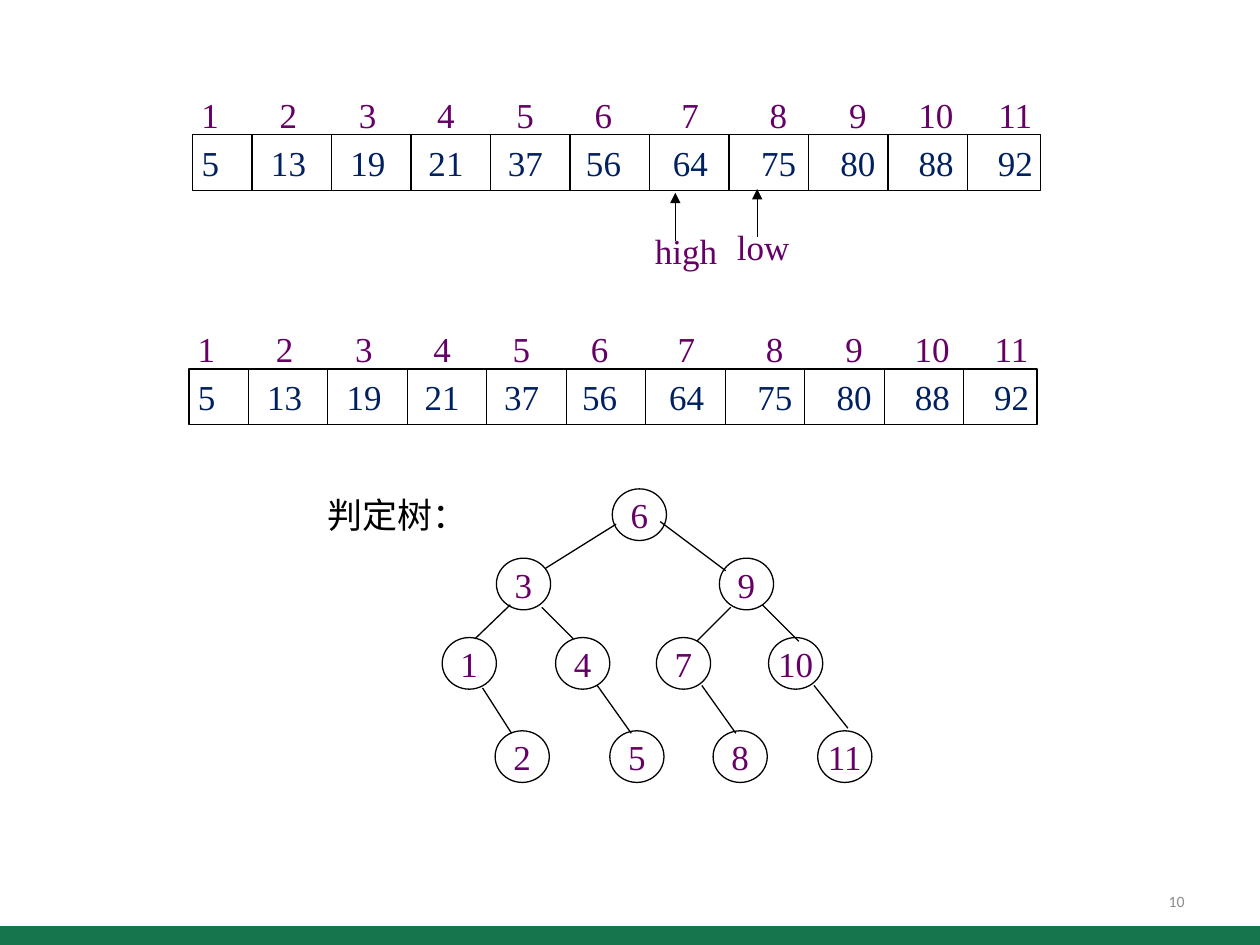
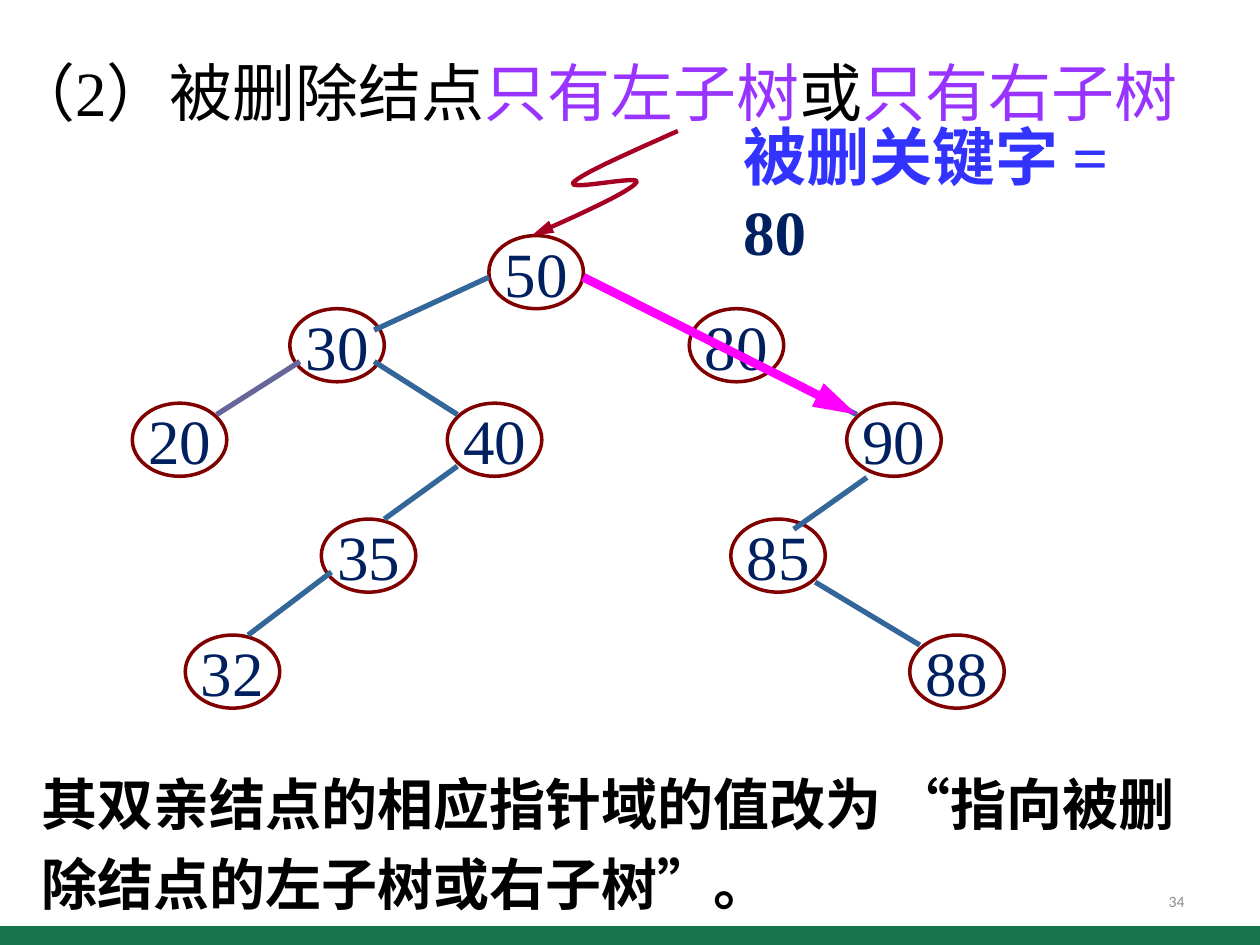
from lxml.etree import SubElement
from pptx import Presentation
from pptx.dml.color import RGBColor
from pptx.enum.shapes import MSO_CONNECTOR, MSO_SHAPE
from pptx.enum.text import MSO_ANCHOR, PP_ALIGN
from pptx.oxml.ns import qn
from pptx.util import Inches, Pt

COLORS = {
    "band": "16754D", "page_number": "8C8C8C", "black": "000000",
    "plum": "660066", "navy": "002060", "maroon": "800000",
    "edge": "336699", "edge_violet": "666699", "new_link": "FF00FF",
    "violet": "9933FF", "blue": "3333FF", "crimson": "A50021",
}
LATIN, CJK, FOOTER_FONT = "Times New Roman", "Noto Sans CJK SC", "Calibri"

KEYS = [5, 13, 19, 21, 37, 56, 64, 75, 80, 88, 92]
NUMBER_CENTERS = [0.69, 1.32, 1.94, 2.57, 3.19, 3.88, 4.58, 5.21, 5.83, 6.46]

# Node offsets and edge ends are measured from the tree's top left corner
DECISION_TREE = {
    "nodes": {"6": (1.35, 0), "3": (0.43, 0.55), "9": (2.2, 0.55),
              "1": (0, 1.18), "4": (0.9, 1.18), "7": (1.7, 1.18), "10": (2.59, 1.18),
              "2": (0.42, 1.92), "5": (1.33, 1.92), "8": (2.15, 1.92), "11": (2.98, 1.92)},
    "edges": [(1.38, 0.28, 0.82, 0.63), (1.73, 0.26, 2.25, 0.65),
              (0.54, 0.92, 0.26, 1.19), (0.79, 0.94, 1.04, 1.19),
              (2.29, 0.94, 2.02, 1.21), (2.54, 0.92, 2.83, 1.21),
              (0.32, 1.58, 0.55, 1.94), (1.23, 1.56, 1.5, 1.94),
              (2.06, 1.56, 2.33, 1.94), (2.95, 1.56, 3.22, 1.9)],
    "node_size": (0.43, 0.41), "font_size": 20, "text_color": "plum",
    "outline": ("black", 0.75), "edge_line": ("black", 0.75),
}
SEARCH_TREE = {
    "nodes": {"50": (2.83, 0), "30": (1.25, 0.58), "80": (4.42, 0.58),
              "20": (0, 1.33), "40": (2.5, 1.33), "90": (5.67, 1.33),
              "35": (1.5, 2.25), "85": (4.75, 2.25),
              "32": (0.42, 3.17), "88": (6.17, 3.17)},
    "edges": [(2.83, 0.33, 1.92, 0.75), (3.58, 0.33, 4.42, 0.75),
              (1.92, 1, 2.58, 1.42), (2.58, 1.83, 2, 2.25),
              (5.08, 1.08, 5.75, 1.42), (5.83, 1.92, 5.25, 2.33),
              (5.42, 2.75, 6.25, 3.25), (1.58, 2.67, 0.92, 3.17)],
    "node_size": (0.75, 0.58), "font_size": 36, "text_color": "navy",
    "outline": ("maroon", 2), "edge_line": ("edge", 3),
}
ROOT_CURVE = [(1.16, 0), (0.78, 0.17), (0.39, 0.34), (0.33, 0.41),
              (0.28, 0.48), (0.89, 0.34), (0.83, 0.41),
              (0.78, 0.48), (0.39, 0.66), (0, 0.83)]


def rgb(color):
    return RGBColor.from_string(COLORS[color])


def write(shape, runs, size, align=PP_ALIGN.LEFT, anchor=MSO_ANCHOR.TOP, wrap=True,
          bold=False, font=LATIN, spacing=None, tabs=()):
    frame = shape.text_frame
    frame.word_wrap = wrap
    frame.vertical_anchor = anchor
    paragraph = frame.paragraphs[0]
    paragraph.alignment = align
    if spacing:
        paragraph.line_spacing = spacing
    if tabs:
        stops = SubElement(shape.element.find(".//" + qn("a:pPr")), qn("a:tabLst"))
        for center in tabs:
            SubElement(stops, qn("a:tab"), pos=str(Inches(center)), algn="ctr")
    for words, color in runs:
        run = paragraph.add_run()
        run.text = words
        run.font.size = Pt(size)
        run.font.bold = bold
        run.font.name = font
        run.font.color.rgb = rgb(color)
    for properties in shape.element.iter(qn("a:rPr")):
        SubElement(properties, qn("a:ea"), typeface=CJK)


def add_text(slide, box, runs, size, **options):
    text = slide.shapes.add_textbox(*map(Inches, box))
    write(text, runs, size, **options)
    return text


def add_preset(slide, preset, box, fill=None, outline=None):
    shape = slide.shapes.add_shape(preset, *map(Inches, box))
    shape.shadow.inherit = False
    if fill:
        shape.fill.solid()
        shape.fill.fore_color.rgb = rgb(fill)
    else:
        shape.fill.background()
    if outline:
        set_line(shape, *outline)
    else:
        shape.line.fill.background()
    return shape


def set_line(shape, color, width, head_length=None):
    shape.line.color.rgb = rgb(color)
    shape.line.width = Pt(width)
    if head_length:
        SubElement(shape.element.spPr.find(qn("a:ln")), qn("a:tailEnd"),
                   type="triangle", w="med", len=head_length)


def add_line(slide, ends, color, width, head_length=None):
    line = slide.shapes.add_connector(MSO_CONNECTOR.STRAIGHT, *map(Inches, ends))
    set_line(line, color, width, head_length)
    SubElement(line.element.spPr, qn("a:effectLst"))


def add_page(prs, number):
    slide = prs.slides.add_slide(prs.slide_layouts[6])
    add_preset(slide, MSO_SHAPE.RECTANGLE, (0, 7.35, 10, 0.18), fill="band")
    add_text(slide, (7.17, 6.95, 2.33, 0.4), [(str(number), "page_number")], 9,
             align=PP_ALIGN.RIGHT, anchor=MSO_ANCHOR.MIDDLE, font=FOOTER_FONT)
    return slide


def add_array(slide, left, top):
    # Index row and key row share the same centred tab stops
    positions = "\t".join(str(index) for index in range(1, len(KEYS) + 1))
    index_row = add_text(slide, (left - 0.03, top - 0.38, 6.8, 0.43), [(positions, "plum")],
                         20, tabs=NUMBER_CENTERS)
    key_row = add_preset(slide, MSO_SHAPE.RECTANGLE, (left, top, 6.73, 0.44),
                         outline=("black", 0.75))
    write(key_row, [("\t".join(map(str, KEYS)), "navy")], 20,
          anchor=MSO_ANCHOR.MIDDLE, tabs=NUMBER_CENTERS)
    index_row.text_frame.margin_right = key_row.text_frame.margin_right = 0
    key_row.text_frame.margin_left = Inches(0.07)
    # Cell dividers
    pitch = 6.31 / 10
    for cell in range(len(KEYS) - 1):
        x = left + 0.47 + cell * pitch
        add_line(slide, (x, top, x, top + 0.44), "black", 0.75)


def add_pointer(slide, tip_x, tip_y, label):
    add_line(slide, (tip_x, tip_y + 0.38, tip_x, tip_y), "black", 0.75, "med")
    add_text(slide, (tip_x - 0.26, tip_y + 0.24, 0.8, 0.43), [(label, "plum")], 20)


def add_edge(slide, left, top, ends, color, width, head_length=None):
    x1, y1, x2, y2 = ends
    add_line(slide, (left + x1, top + y1, left + x2, top + y2), color, width, head_length)


def add_tree(slide, left, top, tree):
    for key, (dx, dy) in tree["nodes"].items():
        node = add_preset(slide, MSO_SHAPE.OVAL, (left + dx, top + dy, *tree["node_size"]),
                          outline=tree["outline"])
        write(node, [(key, tree["text_color"])], tree["font_size"], wrap=False,
              align=PP_ALIGN.CENTER, anchor=MSO_ANCHOR.MIDDLE)
    for ends in tree["edges"]:
        add_edge(slide, left, top, ends, *tree["edge_line"])


def bezier(controls, t):
    weights = ((1 - t) ** 3, 3 * t * (1 - t) ** 2, 3 * t ** 2 * (1 - t), t ** 3)
    return [sum(w * point[axis] for w, point in zip(weights, controls)) for axis in (0, 1)]


def add_root_arrow(slide, left, top, steps=16):
    points = [ROOT_CURVE[0]]
    for start in range(0, len(ROOT_CURVE) - 1, 3):
        controls = ROOT_CURVE[start:start + 4]
        points += [bezier(controls, step / steps) for step in range(1, steps + 1)]
    points = [(Inches(left + x), Inches(top + y)) for x, y in points]
    builder = slide.shapes.build_freeform(*points[0])
    builder.add_line_segments(points[1:], close=False)
    curve = builder.convert_to_shape()
    curve.shadow.inherit = False
    curve.fill.background()
    set_line(curve, "crimson", 2.5, "lg")


def build_search_slide(prs):
    slide = add_page(prs, 10)
    add_array(slide, 1.53, 1.07)
    add_pointer(slide, 6.01, 1.5, "low")
    add_pointer(slide, 5.36, 1.53, "high")
    add_array(slide, 1.5, 2.93)
    add_text(slide, (2.5, 3.87, 1.31, 0.43), [("判定树：", "black")], 20,
             wrap=False, font=CJK)
    add_tree(slide, 3.51, 3.88, DECISION_TREE)


def build_deletion_slide(prs):
    slide = add_page(prs, 34)
    # Tree with the link that bypasses the deleted node
    left, top = 1.05, 1.87
    add_tree(slide, left, top, SEARCH_TREE)
    add_edge(slide, left, top, (1.33, 1, 0.67, 1.42), "edge_violet", 3)
    add_edge(slide, left, top, (3.58, 0.33, 5.75, 1.42), "new_link", 5, "lg")
    add_root_arrow(slide, 4.22, 1.04)
    # Case, deleted key and conclusion
    add_text(slide, (0, 0.26, 9.54, 0.76),
             [("（2）被删除结点", "black"), ("只有左子树", "violet"),
              ("或", "black"), ("只有右子树", "violet")], 36, spacing=1.2)
    add_text(slide, (5.8, 0.88, 3.6, 0.71),
             [("被删关键字 = ", "blue"), ("80", "navy")], 36, bold=True)
    add_text(slide, (0.23, 5.95, 9.54, 1.33),
             [("其双亲结点的相应指针域的值改为 “指向被删除结点的左子树或右子树”。", "black")],
             32, bold=True, spacing=1.2)


def main():
    prs = Presentation()
    prs.slide_width, prs.slide_height = Inches(10), Inches(7.5)
    build_search_slide(prs)
    build_deletion_slide(prs)
    prs.save("out.pptx")


if __name__ == "__main__":
    main()
